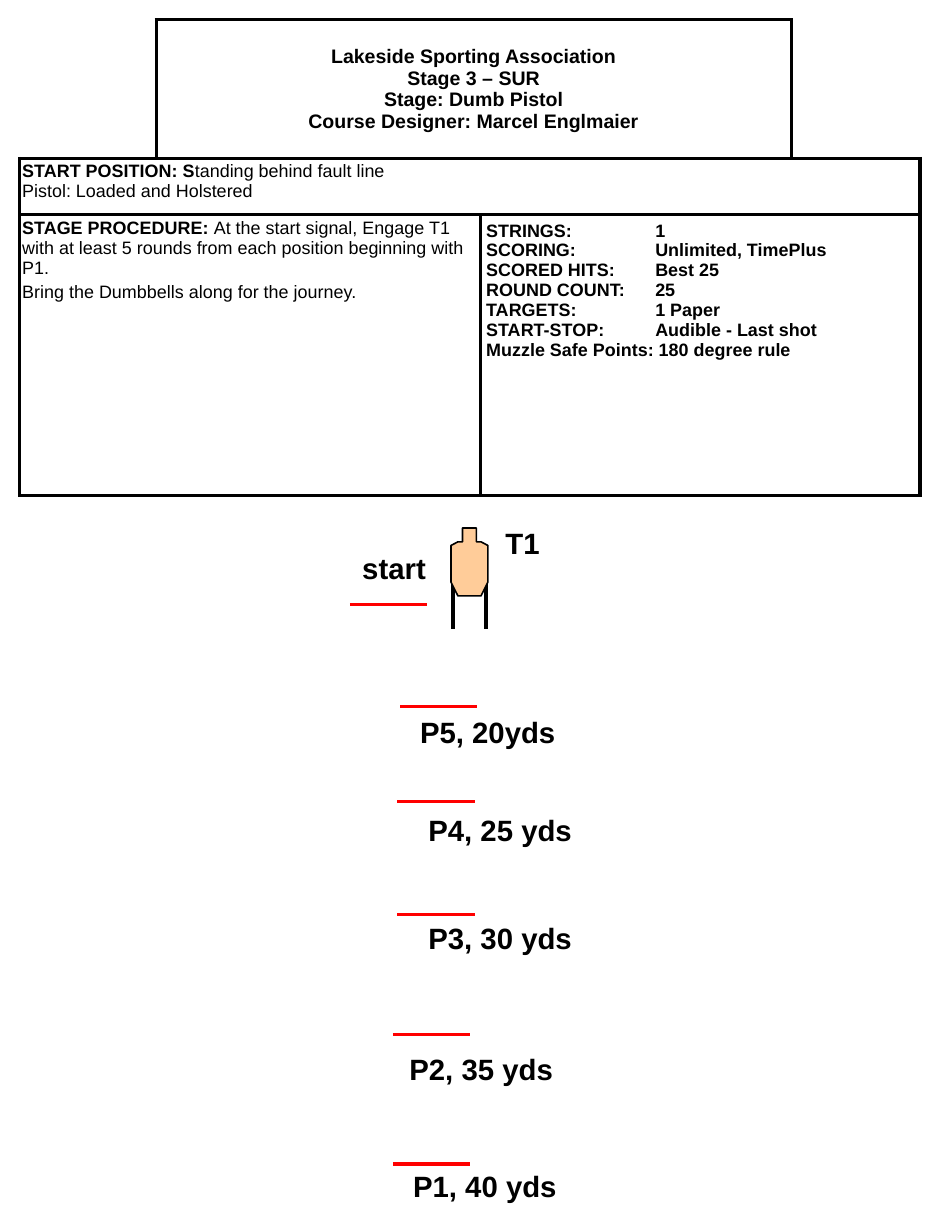
from dataclasses import dataclass

import pptx
import pptx.dml.color
import pptx.enum.shapes
import pptx.enum.text
import pptx.oxml.ns
import pptx.util
from lxml import etree
from pptx.util import Cm, Pt

COLORS = {"ink": "000000", "paper": "FFFFFF", "fault": "FF0000", "target": "FFCC99"}
FONT = "Arial"
BORDER = 2.25
FAULT_LINE_LENGTH = 1.67
VALUE_TAB = 3.66
SIDES = "LRTB"


@dataclass
class Label:
    text: str
    left: float
    top: float
    width: float


@dataclass
class FaultLine:
    left: float
    y: float


LABELS = [
    Label("T1", 10.69, 11.25, 1.47),
    Label("start", 7.59, 11.79, 2.18),
    Label("P5, 20yds", 8.84, 15.34, 4.95),
    Label("P4, 25 yds", 9.02, 17.45, 5.18),
    Label("P3, 30 yds", 9.02, 19.79, 4.55),
    Label("P2, 35 yds", 8.61, 22.63, 4.95),
    Label("P1, 40 yds", 8.69, 25.17, 5.51),
]
FAULT_LINES = [
    FaultLine(7.57, 13.08),
    FaultLine(8.66, 15.29),
    FaultLine(8.6, 17.35),
    FaultLine(8.6, 19.79),
    FaultLine(8.5, 22.4),
    FaultLine(8.5, 25.2),
]
SCORING = [
    "STRINGS:\t1",
    "SCORING:\tUnlimited, TimePlus",
    "SCORED HITS:\tBest 25",
    "ROUND COUNT:\t25",
    "TARGETS:\t1 Paper",
    "START-STOP:\tAudible - Last shot",
    "Muzzle Safe Points: 180 degree rule",
]


def rgb(name: str) -> pptx.dml.color.RGBColor:
    return pptx.dml.color.RGBColor.from_string(COLORS[name])


def style(paragraph, size: float, bold: bool | None = None) -> None:
    font = paragraph.font
    font.name, font.size, font.bold = FONT, Pt(size), bold
    font.color.rgb = rgb("ink")


def add_line(shapes, start: tuple, end: tuple, color: str, width: float) -> None:
    line = shapes.add_connector(
        pptx.enum.shapes.MSO_CONNECTOR.STRAIGHT, *map(Cm, start + end))
    line.line.color.rgb = rgb(color)
    line.line.width = Pt(width)
    etree.SubElement(line._element.spPr, pptx.oxml.ns.qn("a:effectLst"))


def add_label(slide, label: Label) -> None:
    box = slide.shapes.add_textbox(
        Cm(label.left), Cm(label.top), Cm(label.width), Cm(1.02))
    box.text_frame.word_wrap = True
    paragraph = box.text_frame.paragraphs[0]
    paragraph.text = label.text
    style(paragraph, 18, True)


def format_cell(cell, sides: str) -> None:
    """Draw the borders on the given sides, clear the others, fill the cell."""
    properties = cell._tc.get_or_add_tcPr()
    for side in SIDES:
        line = etree.SubElement(
            properties, pptx.oxml.ns.qn(f"a:ln{side}"), w=str(Pt(BORDER)))
        if side in sides:
            fill = etree.SubElement(line, pptx.oxml.ns.qn("a:solidFill"))
            etree.SubElement(fill, pptx.oxml.ns.qn("a:srgbClr"), val=COLORS["ink"])
        else:
            etree.SubElement(line, pptx.oxml.ns.qn("a:noFill"))
    cell.fill.solid()
    cell.fill.fore_color.rgb = rgb("paper")


def set_margins(cell, horizontal: float, vertical: float) -> None:
    cell.margin_left = cell.margin_right = Cm(horizontal)
    cell.margin_top = cell.margin_bottom = Cm(vertical)


def fill_lines(cell, lines: list, space_before: float, line_spacing: float) -> None:
    """Write one paragraph per (bold part, plain part) pair."""
    for index, parts in enumerate(lines):
        frame = cell.text_frame
        paragraph = frame.add_paragraph() if index else frame.paragraphs[0]
        paragraph.line_spacing = line_spacing
        if index:
            paragraph.space_before = Pt(space_before)
        if "\t" in parts[0]:
            tabs = etree.SubElement(
                paragraph._p.get_or_add_pPr(), pptx.oxml.ns.qn("a:tabLst"))
            etree.SubElement(tabs, pptx.oxml.ns.qn("a:tab"),
                             pos=str(Cm(VALUE_TAB)), algn="l")
        style(paragraph, 11)
        for text, bold in zip(parts, (True, False)):
            if text:
                run = paragraph.add_run()
                run.text, run.font.bold = text, bold


def add_briefing(slide) -> None:
    widths, heights = (2.95, 7.01, 6.73, 2.79), (3, 1.22, 6.07)
    table = slide.shapes.add_table(
        3, 4, Cm(0.43), Cm(0.43), Cm(sum(widths)), Cm(sum(heights))).table
    table.first_row = table.horz_banding = False
    for column, width in zip(table.columns, widths):
        column.width = Cm(width)
    for row, height in zip(table.rows, heights):
        row.height = Cm(height)

    # Borders: the top corners stay open
    open_corners = {(0, 0): "RB", (0, 3): "LB"}
    for row in range(3):
        for column in range(4):
            format_cell(table.cell(row, column), open_corners.get((row, column), SIDES))
    for first, last in (((0, 1), (0, 2)), ((1, 0), (1, 3)),
                        ((2, 0), (2, 1)), ((2, 2), (2, 3))):
        table.cell(*first).merge(table.cell(*last))

    # Heading
    heading = table.cell(0, 1)
    set_margins(heading, 0.13, 0.13)
    heading.vertical_anchor = pptx.enum.text.MSO_ANCHOR.MIDDLE
    paragraph = heading.text_frame.paragraphs[0]
    paragraph.text = "\v".join([
        "Lakeside Sporting Association", "Stage 3 – SUR", "Stage: Dumb Pistol",
        "Course Designer: Marcel Englmaier"])
    paragraph.alignment = pptx.enum.text.PP_ALIGN.CENTER
    style(paragraph, 12, True)

    # Start position, procedure and scoring
    start, procedure, scoring = table.cell(1, 0), table.cell(2, 0), table.cell(2, 2)
    set_margins(start, 0.05, 0.1)
    fill_lines(start, [("START POSITION: S", "tanding behind fault line"),
                       ("", "Pistol: Loaded and Holstered")], 1.1, 0.9)
    set_margins(procedure, 0.05, 0.08)
    fill_lines(procedure, [
        ("STAGE PROCEDURE: ", "At the start signal, Engage T1 with at least 5 rounds "
                              "from each position beginning with P1."),
        ("", "Bring the Dumbbells along for the journey.")], 2.2, 1.0)
    set_margins(scoring, 0.13, 0.13)
    fill_lines(scoring, [(line,) for line in SCORING], 0, 1.0)


def add_target(slide) -> None:
    shapes = slide.shapes.add_group_shape().shapes
    center = 10.16
    for x in (center - 0.36, center + 0.36):
        add_line(shapes, (x, 12.52), (x, 13.61), "ink", BORDER)

    # The outline is mirrored about the centre: (half width, y)
    half = [(0.15, 11.43), (0.15, 11.73), (0.25, 11.73),
            (0.4, 11.81), (0.4, 12.6), (0.25, 12.9)]
    points = [(Cm(center + x), Cm(y)) for x, y in half]
    points += [(Cm(center - x), Cm(y)) for x, y in reversed(half)]
    builder = shapes.build_freeform(*points[0])
    builder.add_line_segments(points[1:], close=True)
    body = builder.convert_to_shape()
    body.shadow.inherit = False
    body.fill.solid()
    body.fill.fore_color.rgb = rgb("target")
    body.line.color.rgb = rgb("ink")
    body.line.width = Pt(1)


def main() -> None:
    presentation = pptx.Presentation()
    presentation.slide_width, presentation.slide_height = Cm(20.32), Cm(26.67)
    slide = presentation.slides.add_slide(presentation.slide_layouts[6])

    add_briefing(slide)
    # Course layout
    for line in FAULT_LINES:
        add_line(slide.shapes, (line.left, line.y),
                 (line.left + FAULT_LINE_LENGTH, line.y), "fault", 2)
    for label in LABELS:
        add_label(slide, label)
    add_target(slide)
    presentation.save("out.pptx")


if __name__ == "__main__":
    main()
